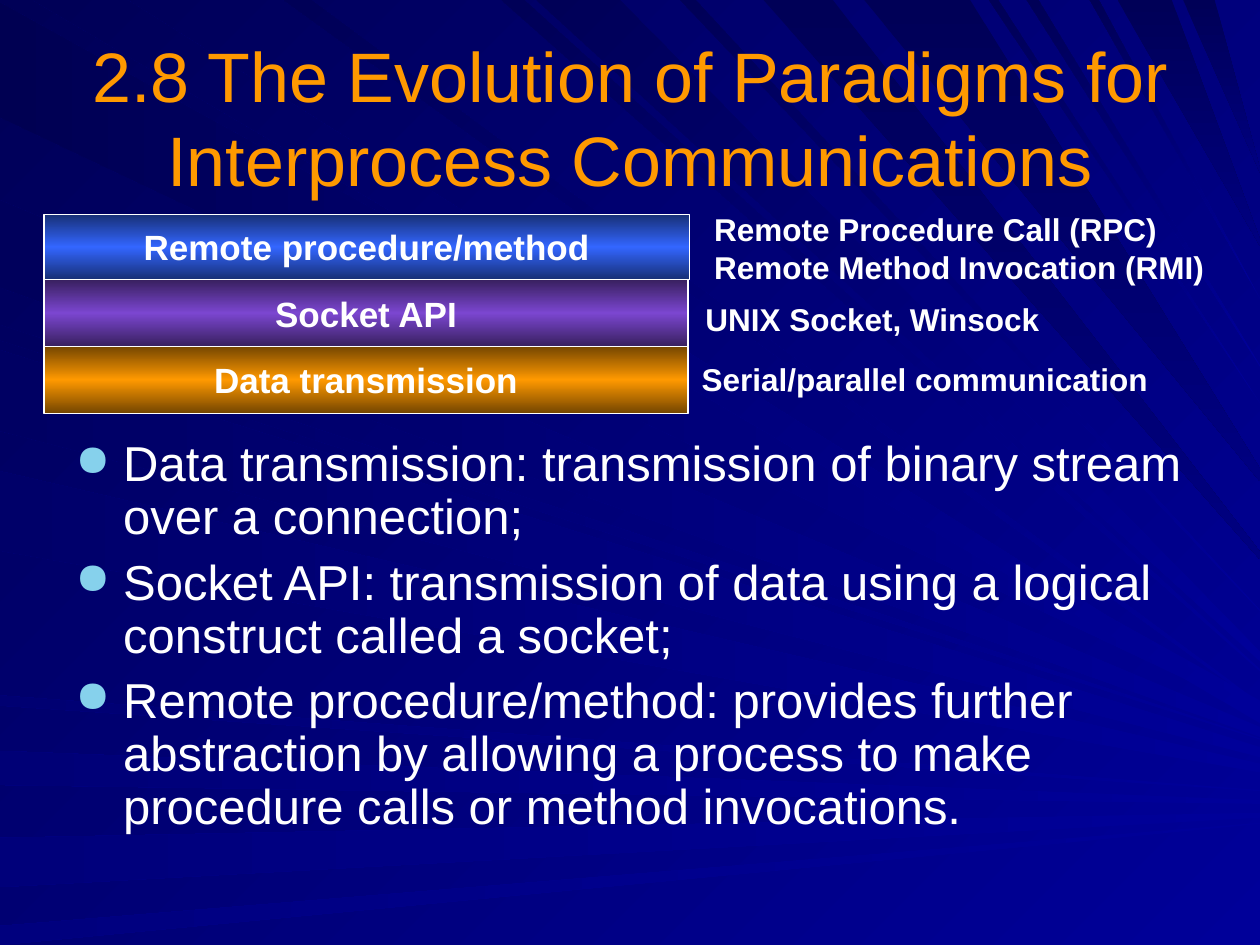
from lxml import etree
from pptx import Presentation
from pptx import util as u
from pptx.dml.color import RGBColor
from pptx.enum import shapes, text
from pptx.oxml import ns

PX = 9144  # EMU per px, 100 px to the inch
FONT = "Arial"
WHITE = RGBColor(0xFF, 0xFF, 0xFF)
ORANGE = RGBColor(0xFF, 0x99, 0x00)
SKY = RGBColor(0x86, 0xD1, 0xEC)
BLUE = RGBColor(0x33, 0x66, 0xFF)
DARK_BLUE = RGBColor(0x17, 0x2F, 0x75)
PURPLE = RGBColor(0x7B, 0x46, 0xD0)
DARK_PURPLE = RGBColor(0x38, 0x20, 0x5F)
DARK_ORANGE = RGBColor(0x75, 0x46, 0x00)
BRIGHT = RGBColor(0x00, 0x00, 0x99)
NAVY = RGBColor(0x00, 0x00, 0x80)
MIDNIGHT = RGBColor(0x00, 0x00, 0x57)

# Where the rays of the backdrop start, along the left and the top edge
LEFT_RAYS = [(2, 93), (159, 228), (258, 270), (278, 342), (374, 437),
             (552, 560), (596, 623), (665, 704), (735, 750)]
TOP_RAYS = [(26, 101), (225, 247), (398, 416), (426, 492), (540, 552), (606, 661),
            (686, 770), (785, 792), (815, 824), (865, 872), (887, 930), (939, 964)]

LAYERS = [
    ("Remote procedure/method", 512, [DARK_BLUE, BLUE, DARK_BLUE]),
    ("Socket API", 511, [DARK_PURPLE, PURPLE, DARK_PURPLE]),
    ("Data transmission", 511, [DARK_ORANGE, ORANGE, DARK_ORANGE]),
]
# Examples beside the layers: offset and size within the stack box, lines
EXAMPLES = [
    ((522, -8, 409, 70), ["Remote Procedure Call (RPC)", "Remote Method Invocation (RMI)"]),
    ((515, 63, 285, 40), ["UNIX Socket, Winsock"]),
    ((512, 111, 374, 40), ["Serial/parallel communication"]),
]
POINTS = [
    "Data transmission: transmission of binary stream over a connection;",
    "Socket API: transmission of data using a logical construct called a socket;",
    "Remote procedure/method: provides further abstraction by allowing a process "
    "to make procedure calls or method invocations.",
]


def emu(*lengths):
    return [u.Emu(length * PX) for length in lengths]


def paint(fill, owner, colors, angle):
    """Fill with evenly spaced gradient stops at a clockwise angle."""
    fill.gradient()
    fill.gradient_angle = (360 - angle) % 360
    stops = next(owner.iter(ns.qn("a:gsLst")))
    for stop in list(stops):
        stops.remove(stop)
    for index, color in enumerate(colors):
        position = 100000 * index // (len(colors) - 1)
        stop = etree.SubElement(stops, ns.qn("a:gs"), pos=str(position))
        etree.SubElement(stop, ns.qn("a:srgbClr"), val=str(color))


def write(frame, lines, size, color=WHITE, bold=False, align=text.PP_ALIGN.LEFT):
    for index, line in enumerate(lines):
        paragraph = frame.paragraphs[0] if index == 0 else frame.add_paragraph()
        paragraph.alignment = align
        run = paragraph.add_run()
        run.text = line
        run.font.name, run.font.size, run.font.bold = FONT, u.Pt(size), bold
        run.font.color.rgb = color


def add_text(slide, box, lines, size, wrap=True, **style):
    frame = slide.shapes.add_textbox(*emu(*box)).text_frame
    frame.word_wrap = wrap
    write(frame, lines, size, **style)
    return frame


def add_bullet(paragraph):
    paragraph.line_spacing, paragraph.space_before = 0.9, u.Pt(7)
    properties = paragraph._p.get_or_add_pPr()
    indent = emu(38)[0]
    properties.set("marL", str(indent))
    properties.set("indent", str(-indent))
    color = etree.SubElement(properties, ns.qn("a:buClr"))
    etree.SubElement(color, ns.qn("a:srgbClr"), val=str(SKY))
    etree.SubElement(properties, ns.qn("a:buSzPct"), val="90000")
    etree.SubElement(properties, ns.qn("a:buChar"), char="●")


def add_ray(slide, box, first, second, tip, tip_width, colors, angle):
    """Draw a ray from two edge points to a narrow tip on the right edge."""
    left, top, width, _ = box
    builder = slide.shapes.build_freeform(*first, scale=PX)
    builder.add_line_segments([(width, tip + tip_width), (width, tip), second], close=True)
    ray = builder.convert_to_shape(*emu(left, top))
    ray.shadow.inherit = False
    ray.line.fill.background()
    paint(ray.fill, ray.element, colors, angle)


def draw_backdrop(slide, box):
    paint(slide.background.fill, slide.element, [BRIGHT, MIDNIGHT], 225)
    width = box[2]
    # Tips sink slowly with the start on the left edge
    for start, end in LEFT_RAYS:
        middle = (start + end) // 2
        shade = RGBColor(0, 0, 80 + middle // 16)
        add_ray(slide, box, (0, end), (0, start), 550 + middle * 14 // 100,
                (end - start) // 8, [BRIGHT, shade], 180)
    # Tips rise with the cube of the start on the top edge
    for start, end in TOP_RAYS:
        middle = (start + end) / 2 / width
        broad = middle > 0.6 and end - start > 20
        colors, angle = ([MIDNIGHT, NAVY], 90) if broad else ([BRIGHT, MIDNIGHT], 225)
        add_ray(slide, box, (start, 0), (end, 0), round(565 - 500 * middle ** 3),
                (end - start) // 8, colors, angle)


def draw_title(slide, box):
    frame = add_text(slide, box, ["2.8 The Evolution of Paradigms for Interprocess Communications"],
                     40, color=ORANGE, align=text.PP_ALIGN.CENTER)
    frame.vertical_anchor = text.MSO_ANCHOR.MIDDLE


def draw_points(slide, box):
    frame = add_text(slide, box, POINTS, 28)
    for paragraph in frame.paragraphs:
        add_bullet(paragraph)


def draw_stack(slide, left, top, height):
    # Layers, from the most abstract down
    for index, (label, width, colors) in enumerate(LAYERS):
        start = height * index // len(LAYERS)
        end = height * (index + 1) // len(LAYERS)
        layer = slide.shapes.add_shape(shapes.MSO_SHAPE.RECTANGLE,
                                       *emu(left, top + start, width, end - start))
        layer.shadow.inherit = False
        layer.line.color.rgb, layer.line.width = WHITE, u.Pt(0.75)
        paint(layer.fill, layer.element, colors, 90)
        frame = layer.text_frame
        frame.word_wrap = False
        frame.vertical_anchor = text.MSO_ANCHOR.MIDDLE
        write(frame, [label], 20, bold=True, align=text.PP_ALIGN.CENTER)
    # Examples to the right
    for (x, y, width, tall), lines in EXAMPLES:
        add_text(slide, (left + x, top + y, width, tall), lines, 18, wrap=False, bold=True)


def main():
    presentation = Presentation()
    presentation.slide_width, presentation.slide_height = emu(1000, 750)
    slide = presentation.slides.add_slide(presentation.slide_layouts[6])
    draw_backdrop(slide, (0, 0, 1000, 750))
    draw_title(slide, (50, 30, 900, 125))
    draw_points(slide, (50, 344, 900, 327))
    draw_stack(slide, 35, 170, 158)
    presentation.save("out.pptx")


if __name__ == "__main__":
    main()
